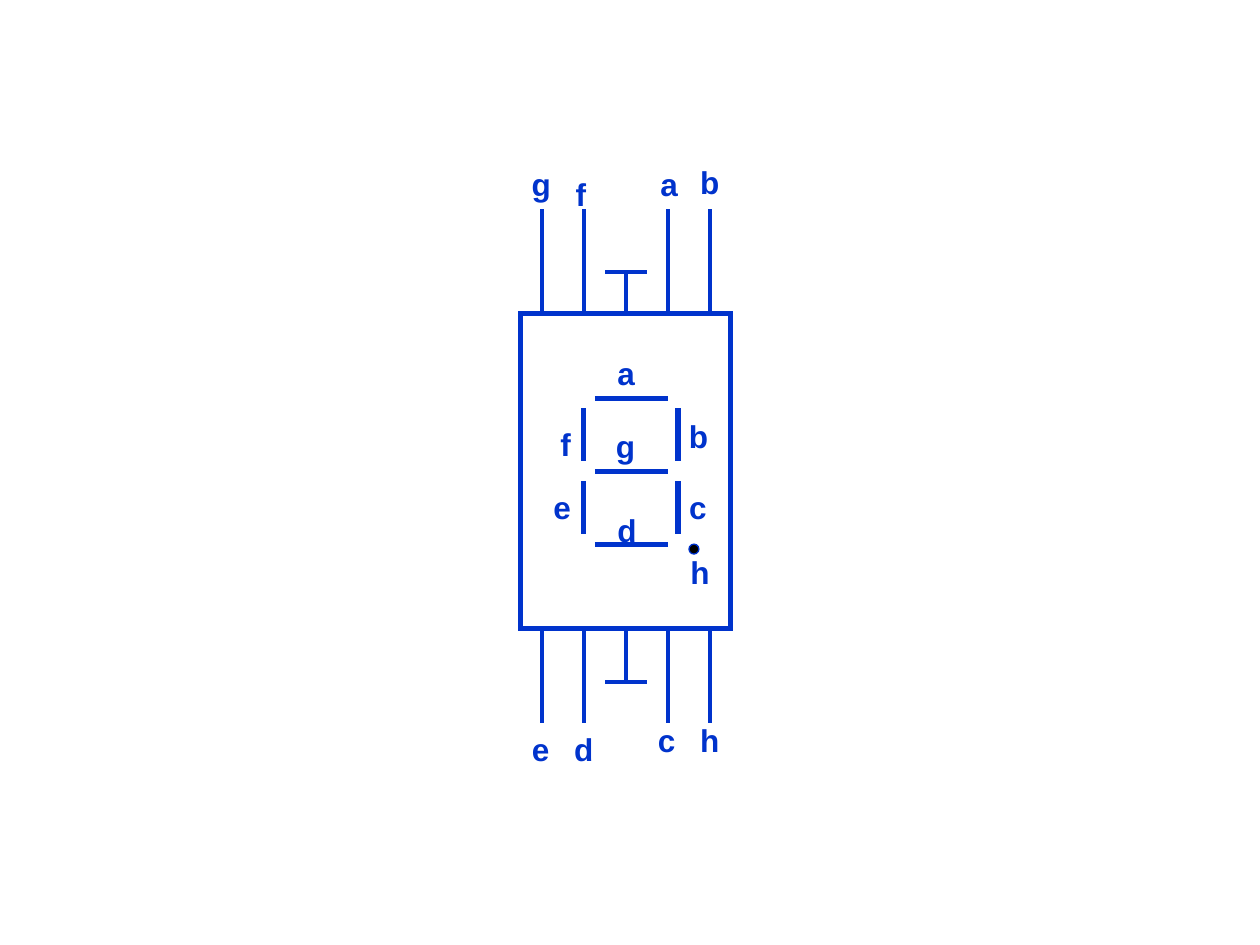
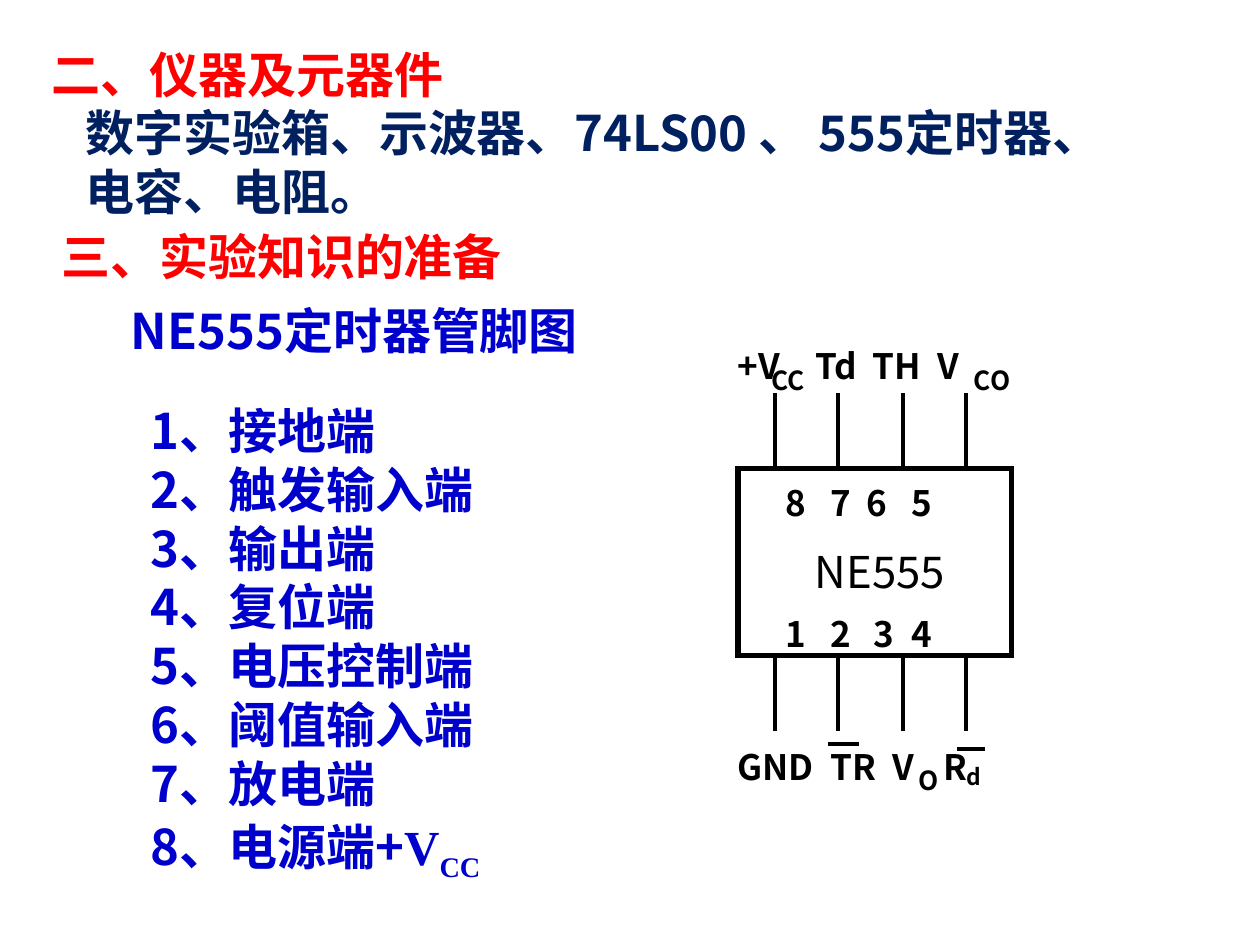
"""Build two slides: a seven-segment display pinout and a 555 timer pinout."""
from dataclasses import dataclass

from lxml.etree import SubElement
from pptx import Presentation
from pptx.dml.color import RGBColor as RGB
from pptx.enum.shapes import MSO_CONNECTOR as CONN, MSO_SHAPE as SHAPE
from pptx.enum.text import MSO_ANCHOR as ANCHOR, MSO_AUTO_SIZE as FIT, PP_ALIGN as ALIGN
from pptx.oxml.ns import qn
from pptx.util import Cm, Pt


@dataclass(frozen=True)
class Theme:
    """Colours, fonts and type sizes."""
    display: RGB = RGB.from_string("0033CC")
    heading: RGB = RGB.from_string("FF0000")
    body: RGB = RGB.from_string("002060")
    notes: RGB = RGB.from_string("0000CC")
    ink: RGB = RGB.from_string("000000")
    latin: str = "Arial"
    cjk: str = "Noto Sans CJK SC"
    serif: str = "Times New Roman"
    text: int = 28
    chip: int = 25
    pin: int = 20
    segment: int = 18
    sub: int = 15
    small_sub: int = 13
    thick: float = 3
    thin: float = 2.25
    hair: float = 0.75
    leading: float = 1.2
    subscript_leading: float = 1.45


T = Theme()

DISPLAY_BODY = (10.49, 6.32, 4.24, 6.35)
DISPLAY_PIN_X = [10.92 + 0.85 * i for i in range(5)]
DISPLAY_PIN_ROWS = [(6.32, 4.22, 5.49), (12.67, 14.58, 13.74)]
SEGMENT_ROWS = [8.03, 9.5, 10.97]
SEGMENT_COLUMNS = [11.76, 13.67]
SEGMENT_SPANS = [(8.23, 9.3), (9.7, 10.77)]
DOT = (13.89, 10.97, 0.2, 0.2)
DISPLAY_LABELS = [
    ("a", 12.62, 7.52), ("b", 14.08, 8.79), ("c", 14.07, 10.21), ("d", 12.64, 10.69),
    ("e", 11.33, 10.21), ("f", 11.4, 8.94), ("g", 12.61, 8.99), ("h", 14.11, 11.53),
    ("g", 10.91, 3.71), ("f", 11.71, 3.91), ("a", 13.49, 3.71), ("b", 14.31, 3.66),
    ("e", 10.9, 15.09), ("d", 11.77, 15.09), ("c", 13.44, 14.91), ("h", 14.31, 14.91),
]

TITLE = [
    ("二、仪器及元器件", T.heading, 0),
    ("数字实验箱、示波器、74LS00 、 555定时器、\v电容、电阻。", T.body, 0.68),
]
SECTION = "三、实验知识的准备"
PINOUT_HEADING = "NE555定时器管脚图"
PIN_ROLES = ["接地端", "触发输入端", "输出端", "复位端",
             "电压控制端", "阈值输入端", "放电端", "电源端+"]

TIMER_BODY = (14.88, 9.45, 5.51, 3.76)
TIMER_PIN_X = [15.62, 16.89, 18.21, 19.48]
TIMER_PIN_ROWS = [(9.45, 7.92), (13.21, 14.73)]
NEGATION_BARS = [(16.69, 17.32, 15.0), (19.3, 19.86, 15.09)]
TIMER_LABEL_ROWS = [
    (7.37, T.pin, [("+V", 15.3), ("Td", 16.85), ("TH", 18.08), ("V", 19.11)]),
    (7.66, T.sub, [("CC", 15.89), ("CO", 20.0)]),
    (10.13, T.pin, [("8", 16.05), ("7", 16.95), ("6", 17.68), ("5", 18.58)]),
    (12.78, T.pin, [("1", 16.05), ("2", 16.95), ("3", 17.82), ("4", 18.58)]),
    (15.46, T.pin, [("GND", 15.64), ("TR", 17.2), ("V", 18.22), ("R", 19.27)]),
    (15.73, T.sub, [("O", 18.71)]),
    (15.66, T.small_sub, [("d", 19.64)]),
]


def style(p, size, color, font=T.cjk, bold=True):
    """Format a whole paragraph."""
    if font == T.cjk:
        p.line_spacing = Pt(round(size * T.leading, 1))
    f = p.font
    f.name, f.size, f.bold, f.color.rgb = font, Pt(size), bold, color
    SubElement(p._p.pPr.find(qn("a:defRPr")), qn("a:ea")).set("typeface", T.cjk)


def box(s, x, y, w, h, anchor=ANCHOR.TOP):
    """Add a wrapping text box and return its frame."""
    tf = s.shapes.add_textbox(Cm(x), Cm(y), Cm(w), Cm(h)).text_frame
    tf.word_wrap, tf.vertical_anchor = True, anchor
    return tf


def label(s, text, x, y, size, color, font=T.cjk, bold=True):
    """Centre a one-line label on a point."""
    w, h = 4.0, 1.0
    tf = box(s, x - w / 2, y - h / 2, w, h, ANCHOR.MIDDLE)
    tf.margin_left = tf.margin_right = tf.margin_top = tf.margin_bottom = 0
    p = tf.paragraphs[0]
    p.text, p.alignment = text, ALIGN.CENTER
    style(p, size, color, font, bold)


def line(s, x1, y1, x2, y2, color, width):
    """Draw a straight line without a shadow."""
    c = s.shapes.add_connector(CONN.STRAIGHT, Cm(x1), Cm(y1), Cm(x2), Cm(y2))
    c.line.color.rgb, c.line.width = color, Pt(width)
    SubElement(c._element.spPr, qn("a:effectLst"))


def outline(s, kind, place, color, width, fill=None):
    """Draw a preset shape with sharp outline corners."""
    sp = s.shapes.add_shape(kind, *map(Cm, place))
    sp.shadow.inherit = False
    sp.line.color.rgb, sp.line.width = color, Pt(width)
    SubElement(sp._element.spPr.find(qn("a:ln")), qn("a:miter")).set("lim", "800000")
    if fill is None:
        sp.fill.background()
    else:
        sp.fill.solid()
        sp.fill.fore_color.rgb = fill


def display_slide(prs):
    """Draw the seven-segment display."""
    s = prs.slides.add_slide(prs.slide_layouts[6])
    outline(s, SHAPE.RECTANGLE, DISPLAY_BODY, T.display, T.thick)
    for y in SEGMENT_ROWS:
        line(s, 11.99, y, 13.46, y, T.display, T.thick)
    for x in SEGMENT_COLUMNS:
        for top, bottom in SEGMENT_SPANS:
            line(s, x, top, x, bottom, T.display, T.thick)
    middle = DISPLAY_PIN_X[2]
    for edge, end, common in DISPLAY_PIN_ROWS:
        for x in DISPLAY_PIN_X:
            line(s, x, edge, x, common if x == middle else end, T.display, T.thin)
        line(s, middle - 0.42, common, middle + 0.42, common, T.display, T.thin)
    outline(s, SHAPE.OVAL, DOT, T.display, T.hair, T.ink)
    for text, x, y in DISPLAY_LABELS:
        label(s, text, x, y, T.segment, T.display, T.latin)


def timer_text(s):
    """Write the headings and the list of pin roles."""
    title = s.shapes.title
    title.left, title.top, title.width, title.height = map(Cm, (0.79, 0.79, 23.72, 3.76))
    tf = title.text_frame
    tf.auto_size, tf.vertical_anchor = FIT.NONE, ANCHOR.MIDDLE
    for i, (text, color, indent) in enumerate(TITLE):
        p = tf.add_paragraph() if i else tf.paragraphs[0]
        p.text, p.alignment = text, ALIGN.LEFT
        p._p.get_or_add_pPr().set("marL", str(Cm(indent)))
        style(p, T.text, color)

    headings = [(SECTION, (0.99, 4.17, 23.72, 1.98, ANCHOR.MIDDLE), T.heading),
                (PINOUT_HEADING, (2.39, 5.94, 10.31, 1.45), T.notes)]
    for text, place, color in headings:
        p = box(s, *place).paragraphs[0]
        p.text = text
        style(p, T.text, color)

    tf = box(s, 2.79, 7.95, 7.8, 9.91)
    for i, role in enumerate(PIN_ROLES):
        p = tf.add_paragraph() if i else tf.paragraphs[0]
        p.text = f"{i + 1}、{role}"
        style(p, T.text, T.notes)
    p.line_spacing = Pt(round(T.text * T.subscript_leading, 1))
    for text, baseline in [("V", 0), ("CC", -25000)]:
        r = p.add_run()
        r.text, r.font.name = text, T.serif
        r._r.get_or_add_rPr().set("baseline", str(baseline))


def timer_slide(prs):
    """Lay out the timer text and draw its pinout."""
    s = prs.slides.add_slide(prs.slide_layouts[5])
    timer_text(s)
    outline(s, SHAPE.RECTANGLE, TIMER_BODY, T.ink, T.thick)
    for edge, end in TIMER_PIN_ROWS:
        for x in TIMER_PIN_X:
            line(s, x, edge, x, end, T.ink, T.thin)
    for left, right, y in NEGATION_BARS:
        line(s, left, y, right, y, T.ink, T.thin)
    label(s, "NE555", 17.74, 11.51, T.chip, T.ink, bold=False)
    for y, size, labels in TIMER_LABEL_ROWS:
        for text, x in labels:
            label(s, text, x, y, size, T.ink)


def main():
    """Build and save the slides."""
    prs = Presentation()
    prs.slide_width, prs.slide_height = Cm(25.4), Cm(19.05)
    display_slide(prs)
    timer_slide(prs)
    prs.save("out.pptx")


if __name__ == "__main__":
    main()
